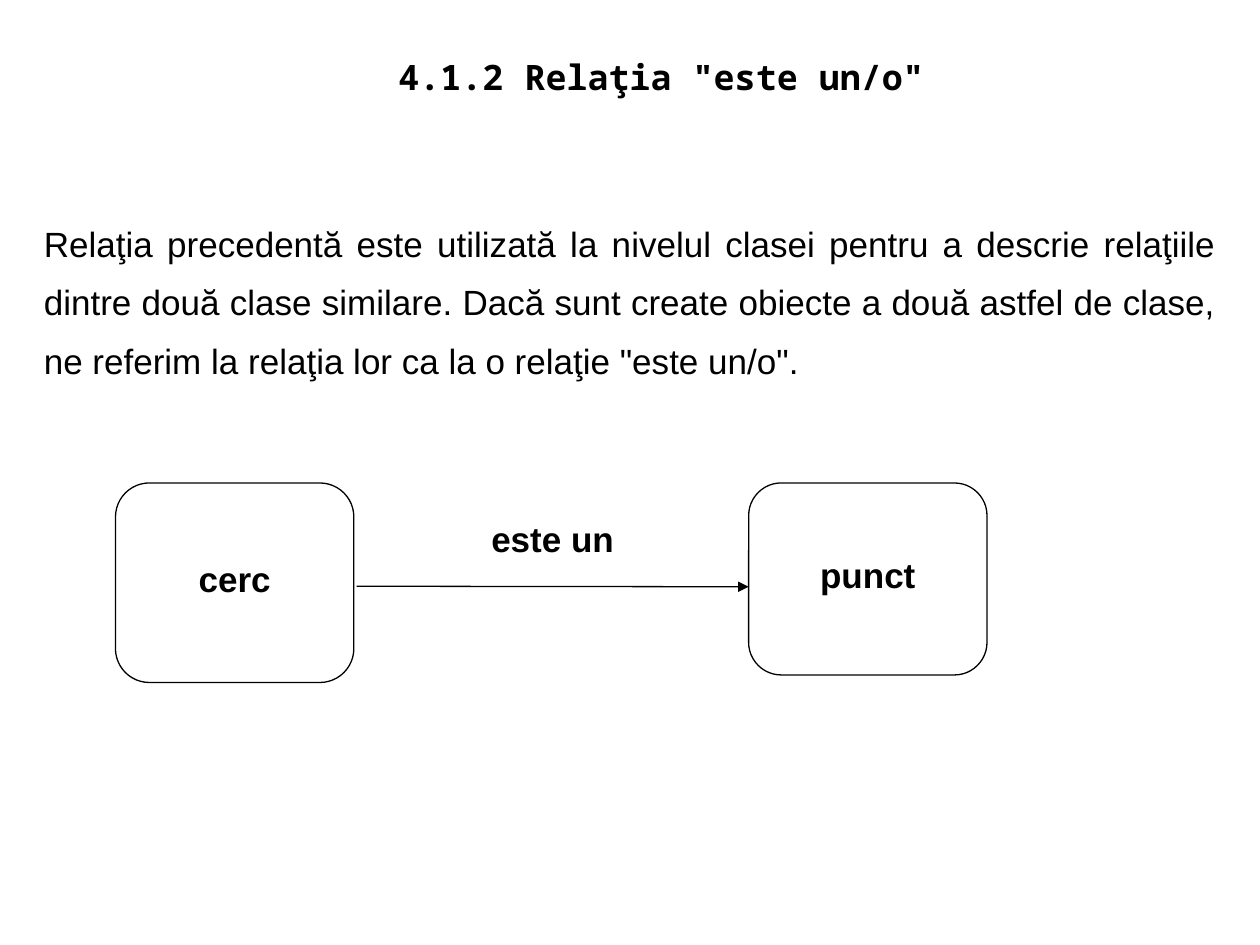
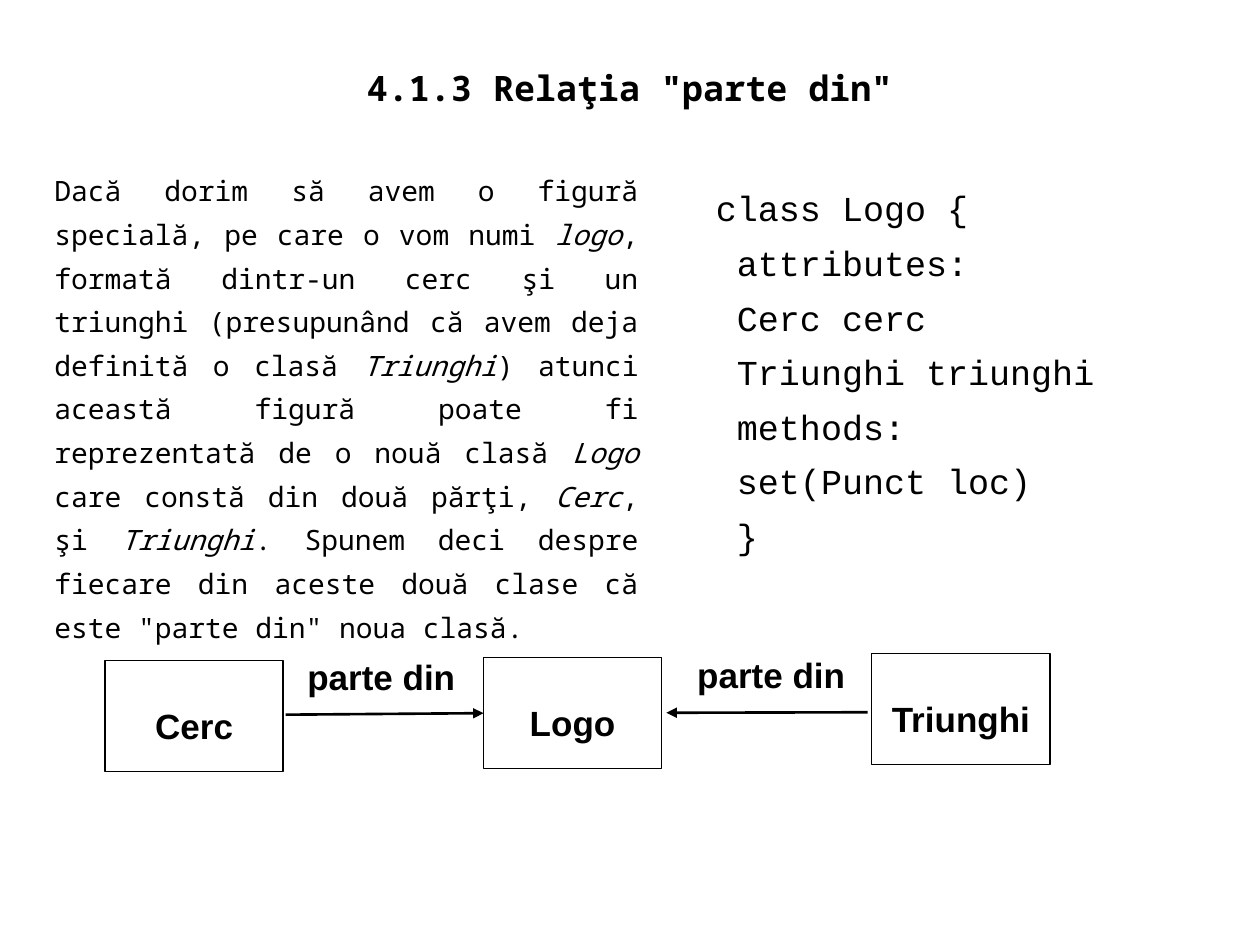
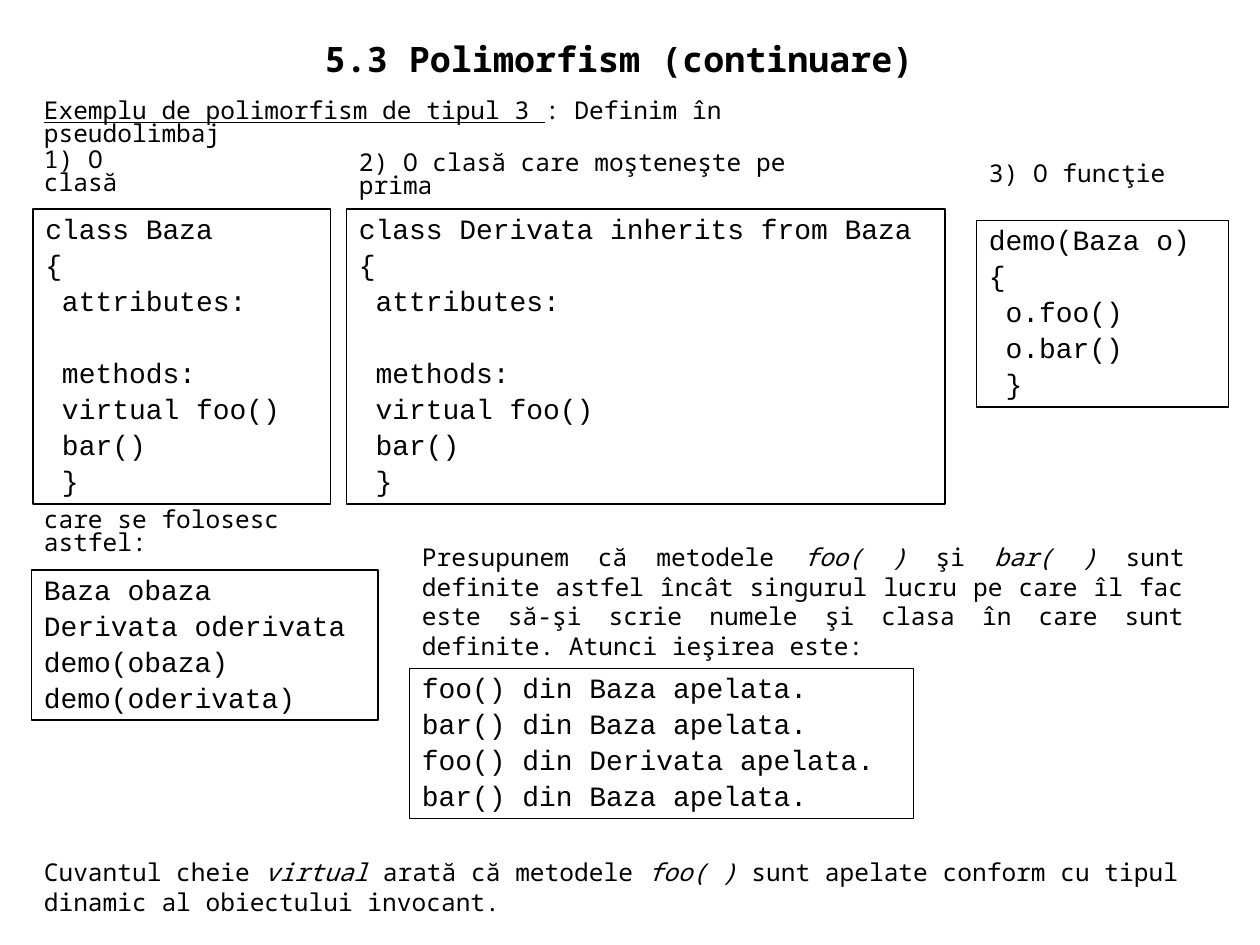
from dataclasses import dataclass
from typing import NamedTuple

from lxml.etree import SubElement
from pptx import Presentation
from pptx.dml.color import RGBColor
from pptx.enum.shapes import MSO_CONNECTOR as Link, MSO_SHAPE as Kind
from pptx.enum.text import MSO_ANCHOR as Anchor, PP_ALIGN as Align
from pptx.oxml.ns import qn
from pptx.shapes.autoshape import Shape
from pptx.shapes.connector import Connector
from pptx.slide import Slide
from pptx.util import Pt

HUES = {"ink": "000000", "paper": "FFFFFF"}
SANS, MONO, CODE = "Arial", "Noto Sans Mono", "Courier New"
LEAD = 1.286  # height of a code line, as a share of its type size


class Box(NamedTuple):
    x: float
    y: float
    w: float
    h: float


@dataclass
class Node:
    name: str
    box: Box
    kind: Kind = Kind.RECTANGLE
    top: float = 3.6


@dataclass
class Arrow:
    start: tuple[float, float]
    end: tuple[float, float]
    width: float
    label: str
    spot: Box


@dataclass
class Note:
    text: str
    box: Box
    lead: float = 0.79
    align: Align = Align.LEFT
    mark: str = "italic"


@dataclass
class Block:
    code: str
    box: Box


def hue(name: str) -> RGBColor:
    return RGBColor.from_string(HUES[name])


def write(shape: Shape, text: str, *, font: str = SANS, size: float = 20,
          bold: bool = False, align: Align = Align.LEFT, anchor: Anchor = Anchor.TOP,
          lead: float = 1, first: float | None = None, mark: str = "italic",
          side: float = 7.2, top: float = 3.6, base: float = 3.6) -> None:
    """Fill a shape: each line is a paragraph, *stars* set the mark style,
    and an empty line becomes space before the next paragraph."""
    frame = shape.text_frame
    frame.word_wrap = True
    frame.vertical_anchor = anchor
    frame.margin_left = frame.margin_right = Pt(side)
    frame.margin_top, frame.margin_bottom = Pt(top), Pt(base)
    gap = 0
    for row, line in enumerate(text.split("\n")):
        if not line:
            gap += size * LEAD
            continue
        para = frame.add_paragraph() if row else frame.paragraphs[0]
        para.alignment = align
        para.line_spacing = first if first and not row else lead
        if gap:
            para.space_before, gap = Pt(gap), 0
        for turn, part in enumerate(line.split("*")):
            if not part:
                continue
            run = para.add_run()
            run.text = part
            run.font.name, run.font.size, run.font.bold = font, Pt(size), bold
            run.font.color.rgb = hue("ink")
            if turn % 2:
                setattr(run.font, mark, True)


def place(slide: Slide, box: Box) -> Shape:
    return slide.shapes.add_textbox(*map(Pt, box))


def frame(slide: Slide, box: Box, kind: Kind = Kind.RECTANGLE, fill: bool = True) -> Shape:
    """Add an outlined shape."""
    shape = slide.shapes.add_shape(kind, *map(Pt, box))
    shape.shadow.inherit = False
    if fill:
        shape.fill.solid()
        shape.fill.fore_color.rgb = hue("paper")
    else:
        shape.fill.background()
    shape.line.color.rgb = hue("ink")
    shape.line.width = Pt(0.75)
    return shape


def title(slide: Slide, text: str, box: Box, **style) -> None:
    write(place(slide, box), text, font=MONO, bold=True, align=Align.CENTER, **style)


def label(shape: Shape, text: str, top: float = 3.6) -> None:
    write(shape, text, bold=True, align=Align.CENTER, anchor=Anchor.MIDDLE,
          lead=0.78, top=top)


def draw_node(slide: Slide, node: Node) -> Shape:
    shape = frame(slide, node.box, node.kind)
    if node.kind == Kind.ROUNDED_RECTANGLE:
        shape.adjustments[0] = 0.17
    label(shape, node.name, node.top)
    return shape


def draw_arrow(slide: Slide, arrow: Arrow) -> Connector:
    line = slide.shapes.add_connector(
        Link.STRAIGHT, *map(Pt, arrow.start + arrow.end))
    line.line.color.rgb = hue("ink")
    line.line.width = Pt(arrow.width)
    SubElement(line.line._get_or_add_ln(), qn("a:tailEnd"), type="triangle")
    SubElement(line._element.spPr, qn("a:effectLst"))
    label(place(slide, arrow.spot), arrow.label)
    return line


def draw_note(slide: Slide, note: Note) -> None:
    write(place(slide, note.box), note.text, font=MONO, size=14,
          lead=note.lead, align=note.align, mark=note.mark)


def draw_block(slide: Slide, block: Block) -> None:
    write(frame(slide, block.box, fill=False), block.code, font=CODE, size=16,
          first=0.89, lead=1.07)


def is_a(slide: Slide) -> None:
    title(slide, '4.1.2 Relaţia "este un/o"', Box(54, 31, 648, 28),
          anchor=Anchor.MIDDLE, lead=0.93, side=0, top=0, base=0)
    write(place(slide, Box(18, 113.75, 684, 108)),
          "Relaţia precedentă este utilizată la nivelul clasei pentru a descrie "
          "relaţiile dintre două clase similare. Dacă sunt create obiecte a două "
          "astfel de clase, ne referim la relaţia lor ca la o relaţie "
          '"este un/o".', align=Align.JUSTIFY, lead=1.4)
    for name, x, h in (("cerc", 66, 114), ("punct", 427.8, 109.7)):
        draw_node(slide, Node(name, Box(x, 276, 136.2, h), Kind.ROUNDED_RECTANGLE))
    draw_arrow(slide, Arrow((203.8, 335), (427.8, 335.3), 0.75, "este un",
                            Box(224, 286.5, 183.6, 46.8)))


def part_of(slide: Slide) -> None:
    title(slide, '4.1.3 Relaţia "parte din"', Box(36, 23.8, 648, 41.8),
          anchor=Anchor.BOTTOM)
    write(place(slide, Box(24, 90, 348, 232)),
          "Dacă dorim să avem o figură specială, pe care o vom numi *logo*, "
          "formată dintr-un cerc şi un triunghi (presupunând că avem deja "
          "definită o clasă *Triunghi*) atunci această figură poate fi "
          "reprezentată de o nouă clasă *Logo* care constă din două părţi, "
          "*Cerc*, şi *Triunghi*. Spunem deci despre fiecare din aceste două "
          'clase că este "parte din" noua clasă.',
          font=MONO, size=16, align=Align.JUSTIFY, lead=1.3)
    write(place(slide, Box(402, 96, 240, 226)),
          "class Logo {\n attributes:\n Cerc cerc\n Triunghi triunghi\n"
          " methods:\n set(Punct loc)\n }", font=CODE, lead=1.3)
    nodes = {name: draw_node(slide, Node(name, Box(x, y, 101.8, 63.5), top=19))
             for name, x, y in (("Cerc", 60, 377.3), ("Logo", 276.3, 375.8),
                                ("Triunghi", 498.2, 373.5))}
    inward = draw_arrow(slide, Arrow((163.2, 408.4), (276.3, 408.8), 1.5, "parte din",
                                     Box(167, 373.7, 101.8, 31)))
    inward.end_connect(nodes["Logo"], 1)
    draw_arrow(slide, Arrow((495.8, 407), (380.8, 407.3), 1.5, "parte din",
                            Box(389.8, 372.2, 101.8, 31)))


METHODS = "\n{\n attributes:\n\n methods:\n virtual foo()\n bar()\n }"
BLOCKS = (
    Block("class Baza" + METHODS, Box(18.8, 119.5, 170, 168.5)),
    Block("class Derivata inherits from Baza" + METHODS, Box(198, 119.5, 342, 168.5)),
    Block("demo(Baza o)\n{\n o.foo()\n o.bar()\n }", Box(558, 126, 144, 106.6)),
    Block("Baza obaza\nDerivata oderivata\ndemo(obaza)\ndemo(oderivata)",
          Box(18, 325.7, 198, 85.8)),
    Block("foo() din Baza apelata.\nbar() din Baza apelata.\n"
          "foo() din Derivata apelata.\nbar() din Baza apelata.",
          Box(234, 382, 288, 85.8)),
)
NOTES = (
    Note("*Exemplu de polimorfism de tipul 3 *: Definim în pseudolimbaj",
         Box(18, 54, 468, 24.5), mark="underline"),
    Note("1) O clasă", Box(18, 82, 90, 24.5)),
    Note("2) O clasă care moşteneşte pe prima", Box(198, 83.8, 306, 24.5)),
    Note("3) O funcţie", Box(558, 90, 126, 24.5)),
    Note("care se folosesc astfel:", Box(18, 288, 216, 24.5)),
    Note("Presupunem că metodele *foo( ) *şi *bar( ) *sunt definite astfel încât "
         "singurul lucru pe care îl fac este să-şi scrie numele şi clasa în care "
         "sunt definite. Atunci ieşirea este:",
         Box(234, 306, 450, 75.6), 1.01, Align.JUSTIFY),
    Note("Cuvantul cheie *virtual* arată că metodele *foo( )* sunt apelate conform "
         "cu tipul dinamic al obiectului invocant.", Box(18, 486, 684, 44.6), 1.01),
)


def poly(slide: Slide) -> None:
    title(slide, "5.3 Polimorfism (continuare)", Box(54, 18, 600, 31.7))
    for block in BLOCKS:
        draw_block(slide, block)
    for note in NOTES:
        draw_note(slide, note)


def main() -> None:
    deck = Presentation()
    deck.slide_width, deck.slide_height = Pt(720), Pt(540)
    for build in (is_a, part_of, poly):
        slide = deck.slides.add_slide(deck.slide_layouts[6])
        slide.background.fill.solid()
        slide.background.fill.fore_color.rgb = hue("paper")
        build(slide)
    deck.save("out.pptx")


if __name__ == "__main__":
    main()
